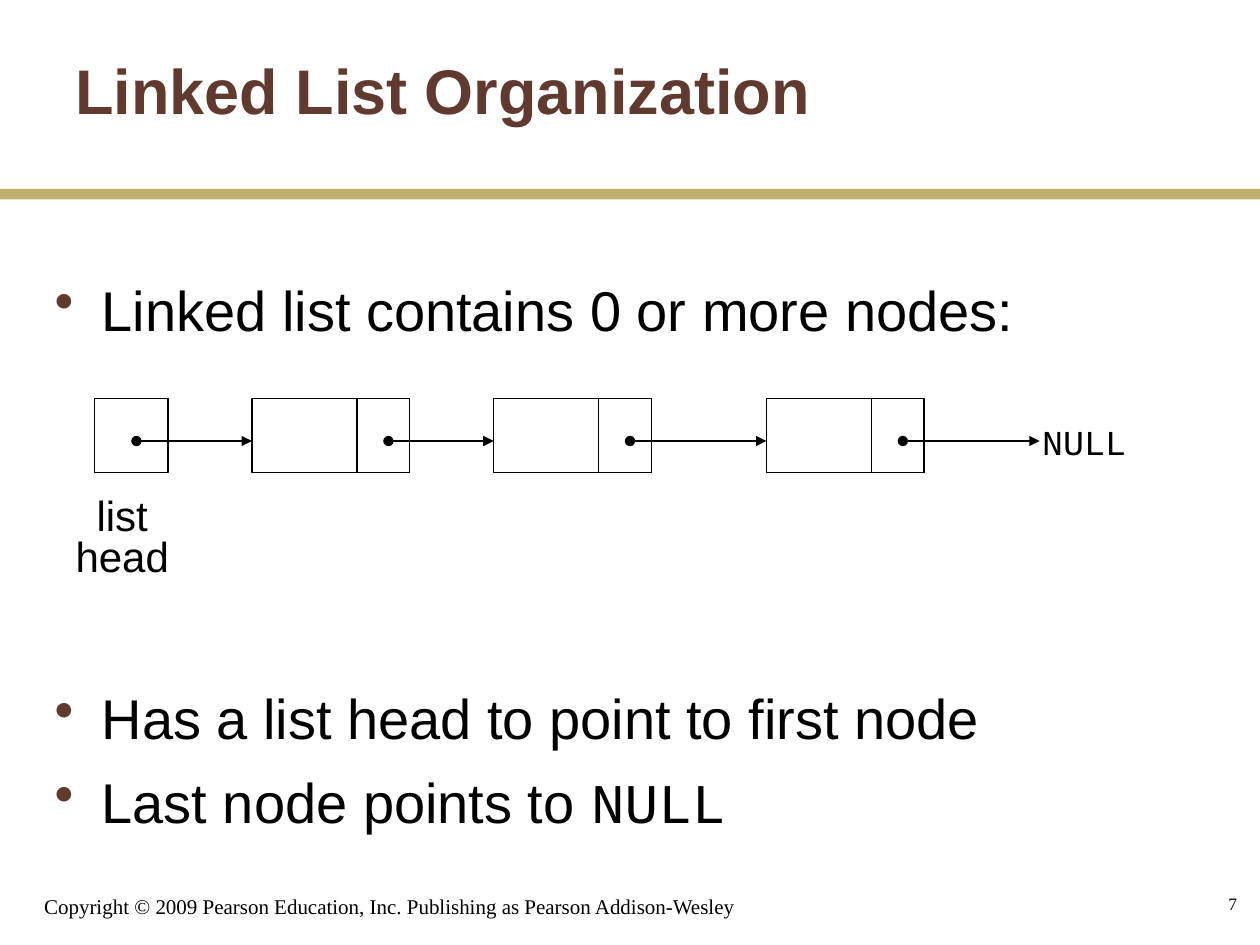
import pptx
import pptx.dml.color
import pptx.enum.shapes
import pptx.enum.text
import pptx.oxml.ns
import pptx.util
from lxml import etree

Cm, Pt = pptx.util.Cm, pptx.util.Pt
RGB = pptx.dml.color.RGBColor.from_string
ALIGN, ANCHOR = pptx.enum.text.PP_ALIGN, pptx.enum.text.MSO_ANCHOR
SHAPE = pptx.enum.shapes.MSO_SHAPE
qn = pptx.oxml.ns.qn
COLORS = {"text": "000000", "accent": "603A2F", "band": "BFAF6F"}

deck = pptx.Presentation()
deck.slide_width, deck.slide_height = Cm(25.4), Cm(19.05)
page = deck.slides.add_slide(deck.slide_layouts[6])


def add_text(left, top, width, height, lines, size, font="Arial", color="text",
             align=ALIGN.LEFT, anchor=ANCHOR.TOP, wrap=True, spacing=None, bullet=False):
    box = page.shapes.add_textbox(Cm(left), Cm(top), Cm(width), Cm(height))
    frame = box.text_frame
    frame.word_wrap, frame.vertical_anchor = wrap, anchor
    for index, line in enumerate(lines):
        para = frame.paragraphs[0] if index == 0 else frame.add_paragraph()
        para.add_run().text = line
        para.alignment, para.line_spacing = align, spacing
        if bullet:
            properties = para._p.get_or_add_pPr()
            properties.set("marL", str(Cm(0.95)))
            properties.set("indent", str(-Cm(0.95)))
            bullet_color = etree.SubElement(properties, qn("a:buClr"))
            etree.SubElement(bullet_color, qn("a:srgbClr"), val=COLORS["accent"])
            etree.SubElement(properties, qn("a:buChar"), char="•")
        para.font.size, para.font.name = Pt(size), font
        para.font.color.rgb = RGB(COLORS[color])
    return frame


def add_cell(left, width):
    cell = page.shapes.add_shape(SHAPE.RECTANGLE, Cm(left), Cm(8.04), Cm(width), Cm(1.48))
    cell.shadow.inherit = False
    cell.fill.background()
    cell.line.color.rgb = RGB(COLORS["text"])
    cell.line.width = Pt(0.75)


# Footer and band
add_text(0.64, 17.57, 15.45, 1.08,
         ["Copyright © 2009 Pearson Education, Inc. Publishing as Pearson Addison-Wesley"],
         12, font="Times New Roman", anchor=ANCHOR.BOTTOM)
band = page.shapes.add_shape(SHAPE.RECTANGLE, 0, Cm(3.81), deck.slide_width, Cm(0.21))
band.shadow.inherit = False
band.fill.solid()
band.fill.fore_color.rgb = RGB(COLORS["band"])
band.line.fill.background()

# Title
title = add_text(1.27, 0.21, 21.17, 3.18, ["Linked List Organization"], 36,
                 color="accent", anchor=ANCHOR.MIDDLE)
title.paragraphs[0].font.bold = True

# Bullets, with room for the diagram after the first
body = add_text(0.85, 5.42, 23.03, 12.7,
                ["Linked list contains 0 or more nodes:",
                 "Has a list head to point to first node",
                 "Last node points to "], 32, bullet=True)
body.paragraphs[1].space_before = Pt(195)
body.paragraphs[2].space_before = Pt(9.6)
span = body.paragraphs[2].add_run()
span.text = "NULL"
span.font.name = "Courier New"

# List head and nodes, each node with a pointer cell
node_lefts = [5.08, 9.95, 15.45]
add_cell(1.91, 1.48)
for left in node_lefts:
    add_cell(left, 3.18)
    add_cell(left + 2.12, 1.06)

# Pointers from each cell to the next node, the last to NULL
starts = [2.75] + [left + 2.75 for left in node_lefts]
for start, end in zip(starts, node_lefts + [20.96]):
    arrow = page.shapes.add_connector(pptx.enum.shapes.MSO_CONNECTOR.STRAIGHT,
                                      Cm(start), Cm(8.89), Cm(end), Cm(8.89))
    arrow.line.color.rgb = RGB(COLORS["text"])
    arrow.line.width = Pt(0.75)
    line = arrow.line._get_or_add_ln()
    etree.SubElement(line, qn("a:headEnd"), type="oval")
    etree.SubElement(line, qn("a:tailEnd"), type="triangle")
    etree.SubElement(arrow._element.spPr, qn("a:effectLst"))

# Diagram labels
add_text(20.75, 8.18, 2.21, 1.27, ["NULL"], 20, font="Courier New",
         align=ALIGN.CENTER, wrap=False, spacing=1.2)
add_text(1.27, 9.95, 2.39, 1.88, ["list", "head"], 24,
         align=ALIGN.CENTER, wrap=False, spacing=0.8)

# Page number
add_text(19.9, 17.57, 5.29, 1.27, ["7"], 10, font="Times New Roman",
         align=ALIGN.RIGHT, anchor=ANCHOR.MIDDLE)

deck.save("out.pptx")
